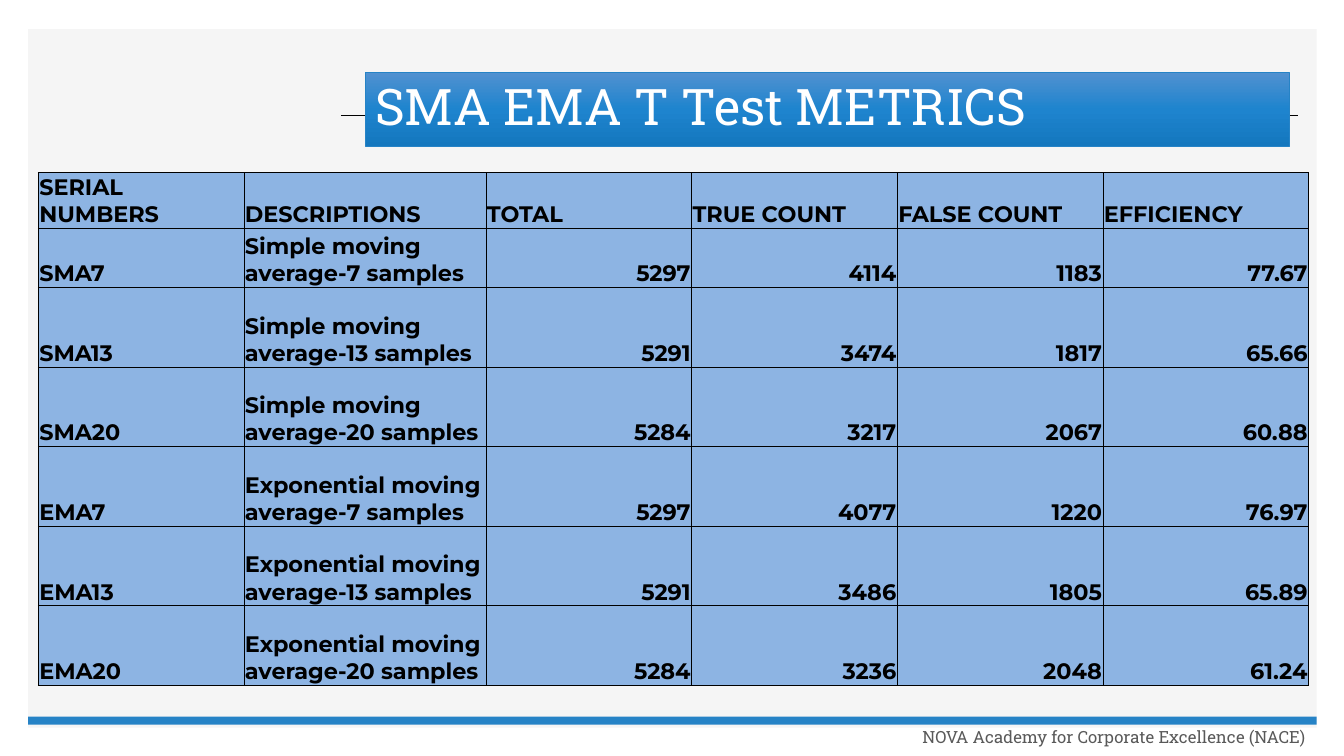
from copy import deepcopy
from dataclasses import dataclass

from pptx import Presentation
from pptx.dml.color import RGBColor
from pptx.enum.shapes import MSO_CONNECTOR, MSO_SHAPE
from pptx.enum.text import MSO_ANCHOR, MSO_AUTO_SIZE, PP_ALIGN
from pptx.oxml.ns import qn
from pptx.util import Inches, Pt
from lxml.etree import SubElement


@dataclass(frozen=True)
class Theme:
    panel: str = "F5F5F5"
    blue: str = "2683C6"
    fade: tuple = ("5191D0", "1E84CE", "1477BE")
    cell: str = "8DB4E3"
    ink: str = "000000"
    gray: str = "595959"
    white: str = "FFFFFF"
    slab: str = "Roboto Slab"
    sans: str = "Montserrat"
    head: int = 36
    body: int = 16
    foot: int = 12


THEME = Theme()

HEADS = ["SERIAL NUMBERS", "DESCRIPTIONS", "TOTAL",
         "TRUE COUNT", "FALSE COUNT", "EFFICIENCY"]
KINDS = {"SMA": "Simple", "EMA": "Exponential"}
TESTS = [
    ("SMA", 7, 5297, 4114, 1183, 77.67),
    ("SMA", 13, 5291, 3474, 1817, 65.66),
    ("SMA", 20, 5284, 3217, 2067, 60.88),
    ("EMA", 7, 5297, 4077, 1220, 76.97),
    ("EMA", 13, 5291, 3486, 1805, 65.89),
    ("EMA", 20, 5284, 3236, 2048, 61.24),
]
WIDTHS = [2.04, 2.4] + [2.04] * 4
HEIGHTS = [0.53, 0.59] + [0.79] * 5


def color(code):
    return RGBColor.from_string(code)


def write(frame, text, font, size, ink, bold=False, align=PP_ALIGN.LEFT,
          anchor=MSO_ANCHOR.MIDDLE, lead=None):
    frame.text = text
    frame.word_wrap = True
    frame.vertical_anchor = anchor
    para = frame.paragraphs[0]
    para.alignment = align
    para.line_spacing = lead
    face = para.runs[0].font
    face.name, face.size, face.bold = font, Pt(size), bold
    face.color.rgb = color(ink)


def add_rect(slide, left, top, width, height, fill):
    rect = slide.shapes.add_shape(MSO_SHAPE.RECTANGLE, Inches(left), Inches(top),
                                  Inches(width), Inches(height))
    rect.shadow.inherit = False
    rect.fill.solid()
    rect.fill.fore_color.rgb = color(fill)
    rect.line.fill.background()


# Gray panel, blue rule and footer text
def add_frame(slide, left, top, width, height):
    base = top + height
    add_rect(slide, left, top, width, height, THEME.panel)
    add_rect(slide, left, base - 0.11, width, 0.08, THEME.blue)
    foot = slide.shapes.add_textbox(Inches(left + width - 4.36), Inches(base - 0.08),
                                    Inches(4.35), Inches(0.36))
    write(foot.text_frame, "NOVA Academy for Corporate Excellence (NACE)", THEME.slab,
          THEME.foot, THEME.gray, align=PP_ALIGN.RIGHT, lead=0.9)


# Title banner over a thin line
def add_title(slide, left, top, width, height):
    mid = top + height / 2 + 0.06
    line = slide.shapes.add_connector(MSO_CONNECTOR.STRAIGHT, Inches(left - 0.24),
                                      Inches(mid), Inches(left + width + 0.08), Inches(mid))
    line.line.color.rgb = color(THEME.ink)
    line.line.width = Pt(1)
    SubElement(line.element.spPr, qn("a:effectLst"))

    title = slide.shapes.title
    title.element.getparent().append(title.element)  # bring to front
    title.left, title.top = Inches(left), Inches(top)
    title.width, title.height = Inches(width), Inches(height)
    title.fill.gradient()
    title.fill.gradient_angle = 270
    stops = title.element.spPr.find(".//" + qn("a:gsLst"))
    stops.append(deepcopy(stops[0]))
    for i, stop in enumerate(title.fill.gradient_stops):
        stop.position = i / 2
        stop.color.rgb = color(THEME.fade[i])
    title.line.color.rgb = color(THEME.blue)
    title.line.width = Pt(0.5)
    write(title.text_frame, "SMA EMA T Test METRICS", THEME.slab,
          THEME.head, THEME.white, lead=0.9)
    title.text_frame.auto_size = MSO_AUTO_SIZE.NONE


def style_cell(cell):
    cell.margin_left = cell.margin_right = cell.margin_top = Inches(0.01)
    cell.margin_bottom = 0
    props = cell._tc.get_or_add_tcPr()
    for side in ("L", "R", "T", "B"):
        edge = SubElement(props, qn(f"a:ln{side}"), w=str(Pt(0.5)))
        SubElement(SubElement(edge, qn("a:solidFill")), qn("a:srgbClr"), val=THEME.ink)
    cell.fill.solid()
    cell.fill.fore_color.rgb = color(THEME.cell)


# Metrics table
def add_grid(slide, left, top):
    rows = [HEADS] + [
        [f"{kind}{days}", f"{KINDS[kind]} moving average-{days} samples", *counts]
        for kind, days, *counts in TESTS]
    grid = slide.shapes.add_table(len(rows), len(HEADS), Inches(left), Inches(top),
                                  Inches(sum(WIDTHS)), Inches(sum(HEIGHTS))).table
    for col, width in zip(grid.columns, WIDTHS):
        col.width = Inches(width)
    for row, height, items in zip(grid.rows, HEIGHTS, rows):
        row.height = Inches(height)
        for cell, item in zip(row.cells, items):
            style_cell(cell)
            align = PP_ALIGN.LEFT if isinstance(item, str) else PP_ALIGN.RIGHT
            write(cell.text_frame, str(item), THEME.sans, THEME.body, THEME.ink,
                  bold=True, align=align)
            cell.vertical_anchor = MSO_ANCHOR.BOTTOM


def main():
    deck = Presentation()
    deck.slide_width, deck.slide_height = Inches(13.33), Inches(7.5)
    slide = deck.slides.add_slide(deck.slide_layouts.get_by_name("Title Only"))
    add_frame(slide, 0.28, 0.29, 12.78, 6.93)
    add_title(slide, 3.62, 0.72, 9.17, 0.73)
    add_grid(slide, 0.38, 1.71)
    deck.save("out.pptx")


if __name__ == "__main__":
    main()
